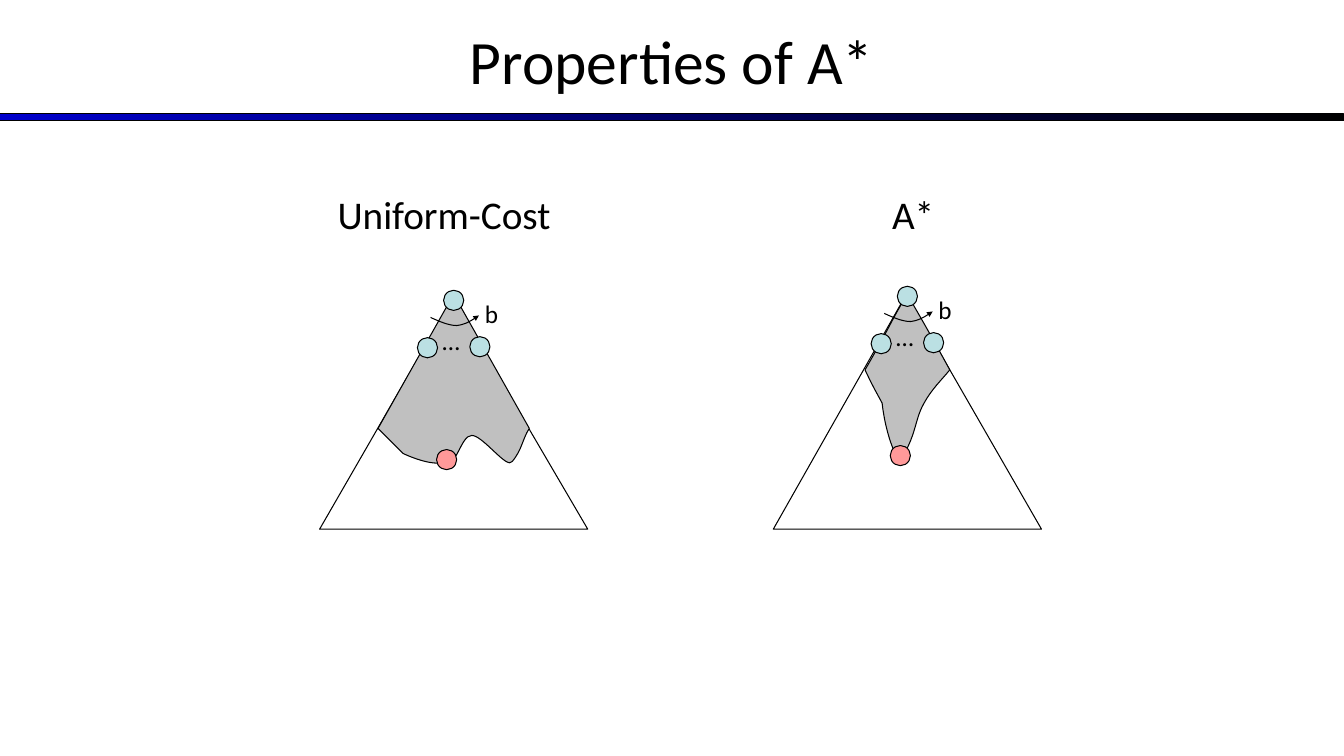
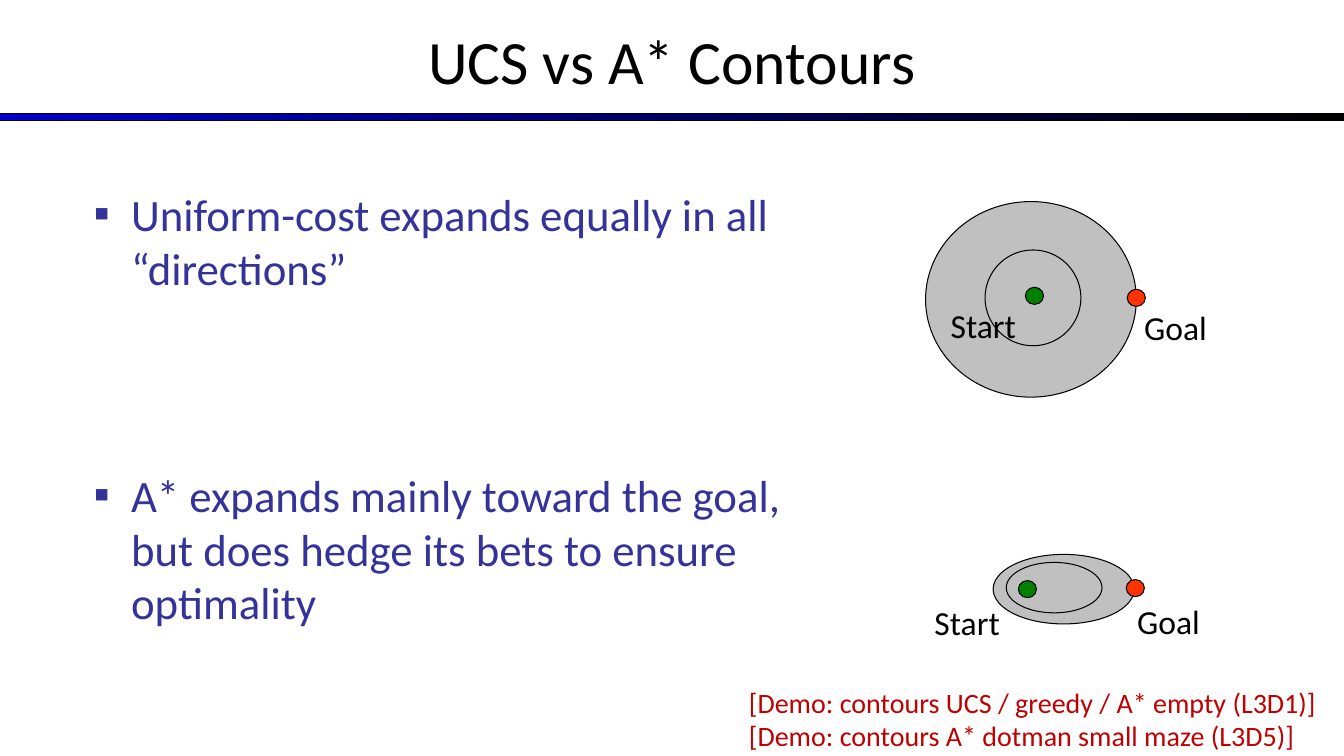
from lxml import etree
from pptx import Presentation, util as u
from pptx.dml.color import RGBColor
from pptx.enum import shapes, text
from pptx.oxml import ns

COLORS = {
    "ink": "000000", "band": "0000CC", "bullet": "333399", "demo": "C00000",
    "explored": "C0C0C0", "node": "BBE0E3", "tree_goal": "FF9999",
    "start": "008000", "goal": "FF3300",
}
FONT = "Calibri"
NODE = 0.2
DOT = (0.18, 0.17)


def inches(values):
    return [u.Inches(value) for value in values]


def color(name):
    return RGBColor.from_string(COLORS[name])


class Deck:
    def __init__(self):
        self.prs = Presentation()
        self.prs.slide_width, self.prs.slide_height = inches((13.33, 7.5))
        self.slide = None

    def new_slide(self, title, layout):
        self.slide = self.prs.slides.add_slide(self.prs.slide_layouts[layout])
        heading = self.slide.shapes.title
        self.place(heading, (0, -0.03, 13.33, 1.25))
        heading.text_frame.text = title
        heading.text_frame.vertical_anchor = text.MSO_ANCHOR.MIDDLE
        self.style_text(heading.text_frame, 44, "ink", text.PP_ALIGN.CENTER)

    def master_band(self):
        band = self.slide.shapes.add_shape(
            shapes.MSO_SHAPE.RECTANGLE, *inches((0, 1.13, 13.33, 0.07)))
        self.style_shape(band)
        band.fill.gradient()
        band.fill.gradient_angle = 0
        for stop, name in zip(band.fill.gradient_stops, ("band", "ink")):
            stop.color.rgb = color(name)
        band._element.nvSpPr.cNvPr.set("id", "20")
        self.prs.slide_master.shapes._spTree.insert(2, band._element)

    def place(self, shape, box):
        shape.left, shape.top, shape.width, shape.height = inches(box)

    def style_text(self, frame, size, name, align=text.PP_ALIGN.LEFT):
        frame.word_wrap = True
        frame.auto_size = text.MSO_AUTO_SIZE.NONE
        for paragraph in frame.paragraphs:
            paragraph.alignment = align
            for run in paragraph.runs:
                run.font.name = FONT
                run.font.size = u.Pt(size)
                run.font.color.rgb = color(name)

    def style_shape(self, shape, fill=None):
        shape.shadow.inherit = False
        shape.line.color.rgb = color("ink")
        shape.line.width = u.Pt(0.75)
        if fill:
            shape.fill.solid()
            shape.fill.fore_color.rgb = color(fill)
        else:
            shape.fill.background()

    def label(self, words, box, size, name="ink"):
        label = self.slide.shapes.add_textbox(*inches(box))
        label.text_frame.text = words
        self.style_text(label.text_frame, size, name)

    def ellipse(self, box, fill=None):
        ellipse = self.slide.shapes.add_shape(shapes.MSO_SHAPE.OVAL, *inches(box))
        self.style_shape(ellipse, fill)

    def freeform(self, start, segments, fill=None, closed=True):
        builder = self.slide.shapes.build_freeform(*inches(start), scale=1.0)
        for segment in segments:
            points = zip(segment[::2], segment[1::2])
            builder.add_line_segments([inches(point) for point in points], close=False)
        if closed:
            builder.add_line_segments([], close=True)
        shape = builder.convert_to_shape()
        self.style_shape(shape, fill)
        self.bend(shape, segments)
        return shape

    def bend(self, shape, segments):
        lines = iter(list(shape._element.iter(ns.qn("a:lnTo"))))
        for segment in segments:
            group = [next(lines) for _ in segment[::2]]
            if len(group) == 3:
                curve = etree.Element(ns.qn("a:cubicBezTo"))
                group[0].addprevious(curve)
                for line in group:
                    curve.append(line[0])
                    line.getparent().remove(line)

    def curved_arrow(self, start, segments):
        arrow = self.freeform(start, segments, closed=False)
        etree.SubElement(arrow.line._get_or_add_ln(), ns.qn("a:tailEnd"),
                         type="triangle", w="sm", len="sm")

    def bullets(self, items, box, gap):
        body = self.slide.placeholders[1]
        self.place(body, box)
        body.text_frame.text = "\n".join(items)
        self.style_text(body.text_frame, 32, "bullet")
        for paragraph in body.text_frame.paragraphs[1:]:
            paragraph.space_before = u.Pt(gap)
        for paragraph in body.text_frame.paragraphs:
            props = paragraph._p.get_or_add_pPr()
            props.set("marL", str(u.Inches(0.37)))
            props.set("indent", str(u.Inches(-0.37)))
            tint = etree.SubElement(props, ns.qn("a:buClr"))
            etree.SubElement(tint, ns.qn("a:srgbClr"), val=COLORS["bullet"])
            etree.SubElement(props, ns.qn("a:buFont"), typeface=FONT)
            etree.SubElement(props, ns.qn("a:buChar"), char="▪")

    def search_tree(self, x, y, top, explored):
        base = 5.25
        apex = (x - 0.01, y)
        left = (x - 1.33, base)
        self.freeform(left, [(x + 1.33, base), apex, left])
        self.freeform(top, explored + [top] * (explored[-1][-2:] != top), "explored")
        for dx, dy in ((-0.36, 0.39), (0.16, 0.38)):
            self.ellipse((x + dx, y + dy, NODE, NODE), "node")
        self.label("…", (x - 0.21, y + 0.22, 0.3, 0.4), 18)
        self.curved_arrow((x - 0.23, y + 0.19), [
            (x - 0.14, y + 0.23, x - 0.05, y + 0.27, x + 0.03, y + 0.27),
            (x + 0.11, y + 0.26, x + 0.18, y + 0.22, x + 0.25, y + 0.17)])
        self.label("b", (x + 0.21, y - 0.05, 0.33, 0.4), 18)
        self.ellipse((x - 0.17, y + 1.5, NODE, NODE), "tree_goal")
        self.ellipse((x - 0.1, y - 0.08, NODE, NODE), "node")

    def contours(self, outer, inner, start, goal, start_label, goal_label):
        self.ellipse(outer, "explored")
        self.ellipse(inner)
        for name, dot, corner in (("start", start, start_label), ("goal", goal, goal_label)):
            self.ellipse(dot + DOT, name)
            self.label(name.capitalize(), corner + (1, 0.5), 24)


def main():
    deck = Deck()

    deck.new_slide("Properties of A*", 5)
    deck.master_band()
    deck.search_tree(4.5, 2.96, (4.5, 2.92), [
        (3.75, 4.25), (4, 4.5),
        (4, 4.5, 4.29, 4.64, 4.42, 4.58),
        (4.53, 4.64, 4.57, 4.32, 4.68, 4.32),
        (4.79, 4.32, 5.03, 4.66, 5.08, 4.58),
        (5.18, 4.46, 5.18, 4.36, 5.25, 4.25)])
    deck.search_tree(9, 2.92, (9, 2.92), [
        (8.85, 3.16, 8.84, 3.22, 8.58, 3.67),
        (8.66, 3.84, 8.68, 3.87, 8.75, 4),
        (8.75, 4, 8.78, 4.34, 8.92, 4.58),
        (9.09, 4.33, 9.07, 4.17, 9.16, 4.01),
        (9.24, 3.86, 9.34, 3.77, 9.42, 3.67),
        (9.17, 3.21, 9.1, 3.1, 9, 2.92)])
    deck.label("Uniform-Cost", (3.25, 1.84, 2.5, 0.57), 28)
    deck.label("A*", (8.75, 1.84, 0.67, 0.57), 28)

    deck.new_slide("UCS vs A* Contours", 1)
    deck.bullets([
        "Uniform-cost expands equally in all “directions”",
        "A* expands mainly toward the goal, but does hedge its bets to ensure optimality",
    ], (0.83, 1.8, 7.33, 4.95), 124)
    deck.contours((9.18, 2, 2.09, 1.94), (9.77, 2.48, 0.95, 0.95),
                  (10.17, 2.85), (11.18, 2.87), (9.33, 2.98), (11.25, 3))
    deck.contours((9.85, 5.5, 1.4, 0.69), (9.98, 5.58, 0.95, 0.5),
                  (10.1, 5.76), (11.17, 5.75), (9.17, 5.92), (11.18, 5.91))
    deck.label("[Demo: contours UCS / greedy / A* empty (L3D1)]\n"
               "[Demo: contours A* dotman small maze (L3D5)]",
               (7.33, 6.75, 6, 0.77), 20, "demo")

    deck.prs.save("out.pptx")


if __name__ == "__main__":
    main()
